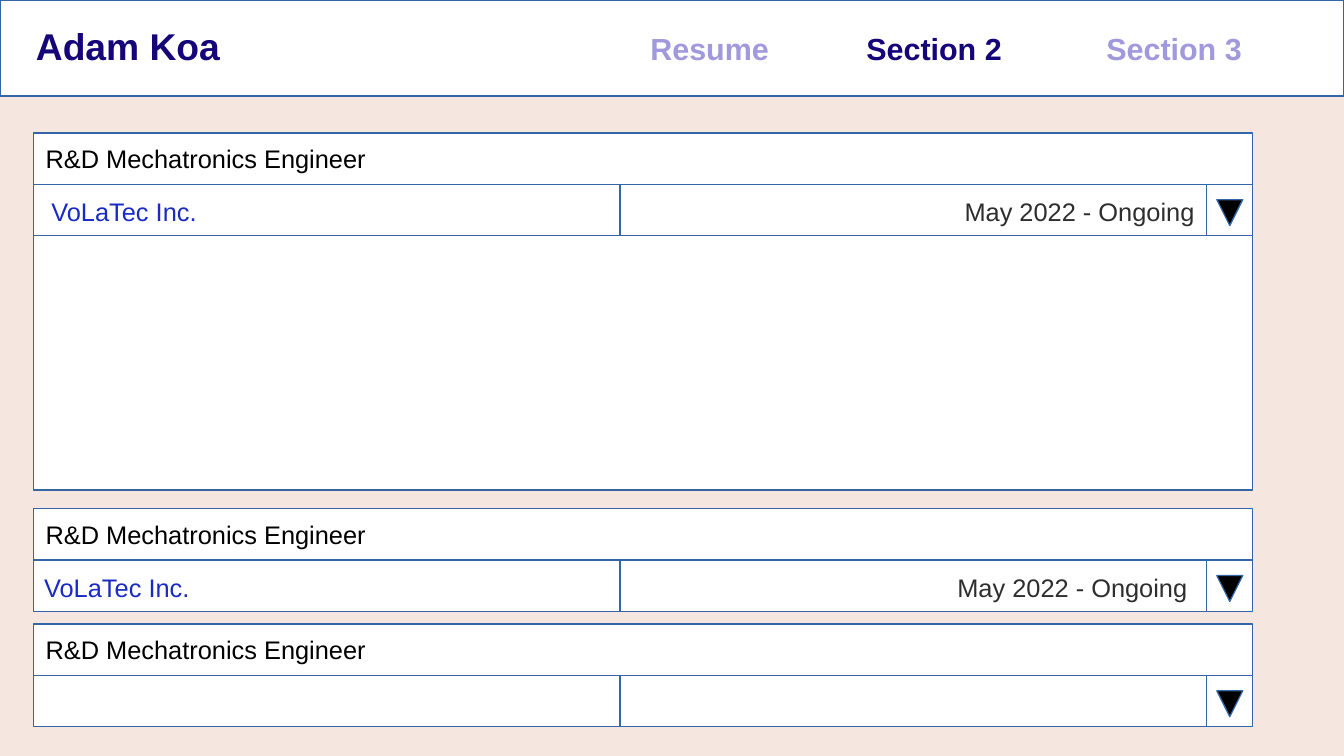
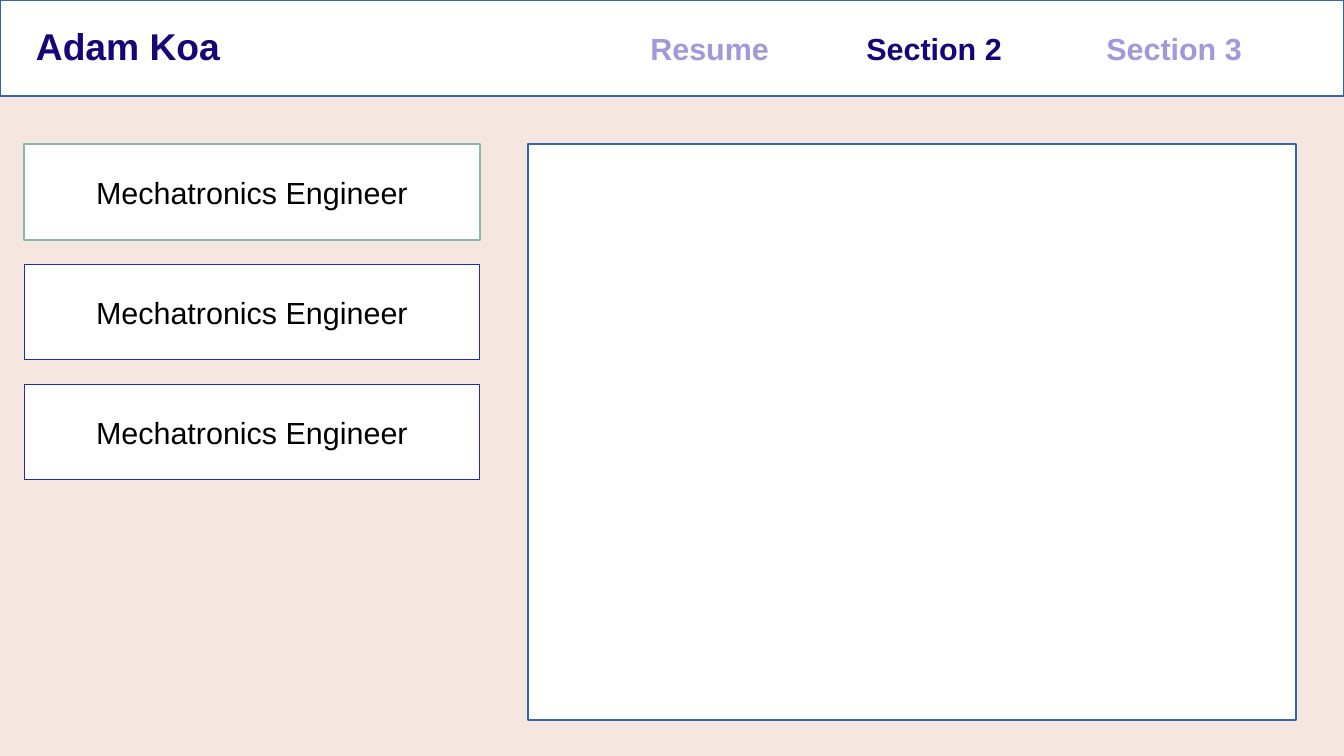
from pptx import Presentation
from pptx.dml.color import RGBColor
from pptx.enum.shapes import MSO_SHAPE
from pptx.enum.text import MSO_ANCHOR, MSO_AUTO_SIZE, PP_ALIGN
from pptx.util import Cm, Pt

COLORS = {
    "page": "F5E6E0", "white": "FFFFFF", "black": "000000", "outline": "3465A4",
    "navy": "150578", "lilac": "A299DD", "blue": "192BC2", "gray": "2E2E2E",
    "green": "87BAAB",
}
FONT = "Arial"
WIDTH, HEIGHT = 28, 15.75
HEADER_H = 2
NAV = (("Resume", 13.3), ("Section 2", 17.8), ("Section 3", 22.8))
CARD_X, ROW_H, HALF_W, TOGGLE_W = 0.7, 1.07, 12.22, 0.96
CARD_W = 2 * HALF_W + TOGGLE_W
JOB, COMPANY, DATES = "R&D Mechatronics Engineer", "VoLaTec Inc.", "May 2022 - Ongoing"


def rgb(name):
    """Return the named colour."""
    return RGBColor.from_string(COLORS[name])


class Deck:
    """Holds the shared style and the current slide; lengths are in cm."""

    def __init__(self):
        """Start an empty presentation."""
        self.prs = Presentation()
        self.prs.slide_width, self.prs.slide_height = Cm(WIDTH), Cm(HEIGHT)
        self.slide = None

    def new_slide(self, active):
        """Add a slide with its header and the active section marked."""
        self.slide = self.prs.slides.add_slide(self.prs.slide_layouts[6])
        fill = self.slide.background.fill
        fill.solid()
        fill.fore_color.rgb = rgb("page")
        self.shape(0, 0, WIDTH, HEADER_H)
        self.text("Adam Koa", 0.5, 0.37, 4.5, 1.12, 22, "navy", bold=True)
        for label, x in NAV:
            color = "navy" if label == active else "lilac"
            self.text(label, x, 0.5, 4.5, 0.96, 18, color, bold=True)

    def shape(self, x, y, w, h, kind=MSO_SHAPE.RECTANGLE, fill="white",
              line="outline", weight=0):
        """Draw a filled preset shape; weight 0 is a hairline."""
        sp = self.slide.shapes.add_shape(kind, Cm(x), Cm(y), Cm(w), Cm(h))
        sp.shadow.inherit = False
        sp.fill.solid()
        sp.fill.fore_color.rgb = rgb(fill)
        sp.line.color.rgb = rgb(line)
        sp.line.width = Pt(weight)
        return sp

    def add_text(self, tf, text, size, color, align, anchor, bold=False):
        """Put one formatted run into a text frame."""
        tf.word_wrap = True
        tf.vertical_anchor = anchor
        p = tf.paragraphs[0]
        p.alignment = align
        r = p.add_run()
        r.text = text
        r.font.name, r.font.size, r.font.bold = FONT, Pt(size), bold
        r.font.color.rgb = rgb(color)

    def text(self, text, x, y, w, h, size, color, align=PP_ALIGN.LEFT,
             anchor=MSO_ANCHOR.TOP, bold=False):
        """Add a text box that grows with its text."""
        tf = self.slide.shapes.add_textbox(Cm(x), Cm(y), Cm(w), Cm(h)).text_frame
        self.add_text(tf, text, size, color, align, anchor, bold)
        tf.auto_size = MSO_AUTO_SIZE.SHAPE_TO_FIT_TEXT

    def card(self, y, body_h=0):
        """Draw a job card: title row, detail row, toggle and optional body."""
        self.shape(CARD_X, y, CARD_W, ROW_H)
        self.text(JOB, CARD_X, y, 10.08, ROW_H, 15, "black",
                  anchor=MSO_ANCHOR.MIDDLE)
        y += ROW_H
        for i in range(2):
            self.shape(CARD_X + i * HALF_W, y, HALF_W, ROW_H)
        toggle_x = CARD_X + 2 * HALF_W
        self.shape(toggle_x, y, TOGGLE_W, ROW_H)
        arrow = self.shape(toggle_x + 0.21, y + 0.32, 0.54, 0.54,
                           MSO_SHAPE.ISOSCELES_TRIANGLE, "black")
        arrow.rotation = 180
        if body_h:
            self.shape(CARD_X, y + ROW_H, CARD_W, body_h)

    def details(self, x, y):
        """Add company and dates, both placed from the company's corner."""
        self.text(COMPANY, x, y, 4.78, 1.52, 15, "blue", anchor=MSO_ANCHOR.MIDDLE)
        self.text(DATES, x + 17.42, y, 6.9, 1.52, 15, "gray", PP_ALIGN.RIGHT,
                  MSO_ANCHOR.MIDDLE)

    def button(self, y, line, weight):
        """Draw a centred job button."""
        sp = self.shape(0.5, y, 9.5, 2, line=line, weight=weight)
        self.add_text(sp.text_frame, "Mechatronics Engineer", 18, "black",
                      PP_ALIGN.CENTER, MSO_ANCHOR.MIDDLE)


deck = Deck()

deck.new_slide("Section 2")
deck.card(2.77, body_h=5.3)
deck.details(0.82, 3.64)
deck.card(10.6)
deck.details(0.67, 11.48)
deck.card(13)

deck.new_slide("Section 2")
deck.shape(11, 3, 16, 12)
for i in range(3):
    line, weight = ("blue", 0.51) if i else ("green", 1.5)
    deck.button(3 + 2.5 * i, line, weight)

deck.prs.save("out.pptx")
